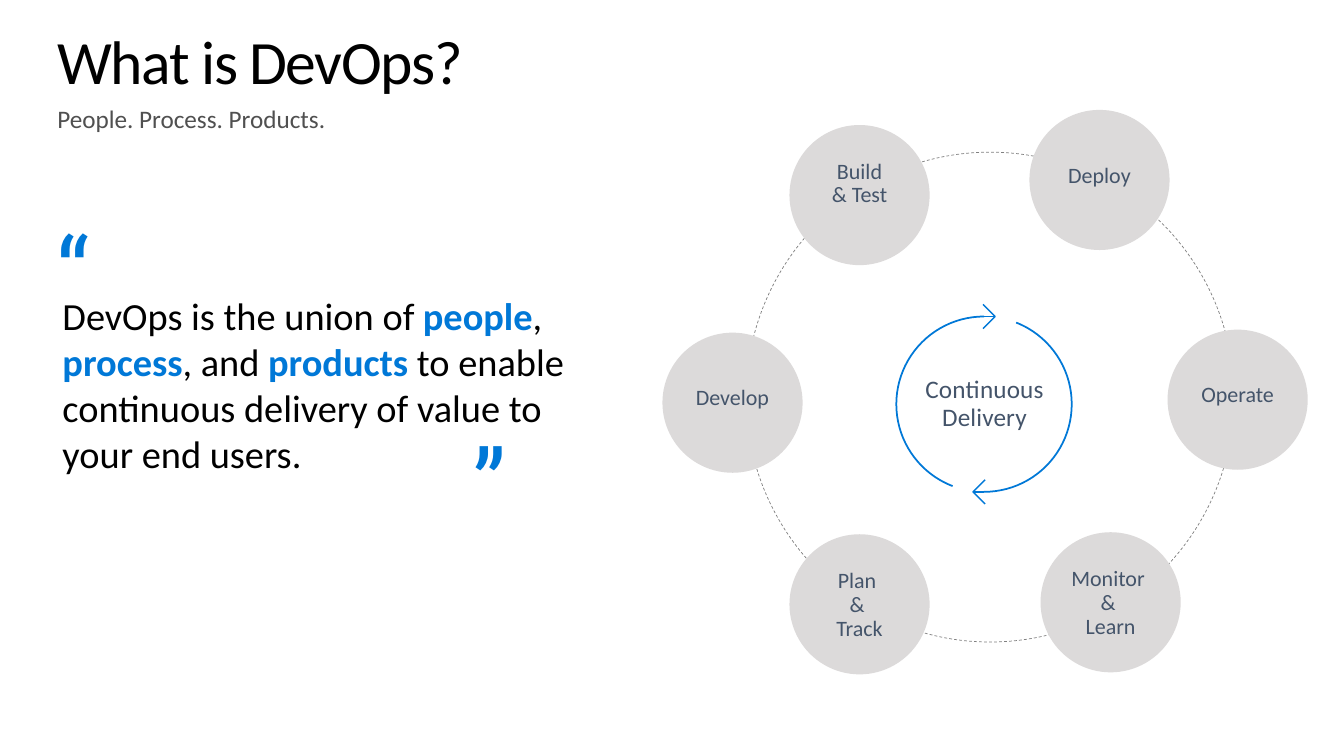
from copy import deepcopy
from pptx import Presentation
from pptx.dml.color import RGBColor
from pptx.enum.dml import MSO_LINE as Dash
from pptx.enum.shapes import MSO_CONNECTOR as Conn, MSO_SHAPE as Shape
from pptx.enum.text import MSO_ANCHOR as Anchor, MSO_AUTO_SIZE as Auto, PP_ALIGN as Align
from pptx.util import Inches, Pt
from lxml.etree import SubElement
from pptx.oxml.ns import qn

BLACK = RGBColor(0x00, 0x00, 0x00)
BLUE = RGBColor(0x00, 0x78, 0xD7)
SLATE = RGBColor(0x44, 0x54, 0x6A)
DARK = RGBColor(0x50, 0x50, 0x50)
GRAY = RGBColor(0x80, 0x80, 0x80)
PALE = RGBColor(0xDC, 0xDA, 0xDA)

DISC = 1.39
STAGES = [
    ("Build\n& Test", 7.83, 1.24),
    ("Deploy", 10.21, 1.09),
    ("Operate", 11.58, 3.27),
    ("Monitor \n& \nLearn", 10.32, 5.28),
    ("Plan \n& \nTrack", 7.83, 5.3),
    ("Develop", 6.57, 3.3),
]


def style(run, size, color, face="Calibri", bold=False, gap=0):
    font = run.font
    font.size, font.name, font.bold = Pt(size), face, bold
    font.color.rgb = color
    if gap:
        run._r.get_or_add_rPr().set("spc", str(round(gap * 100)))


def add_box(slide, x, y, w, h, pads=(0.1, 0.05, 0.1, 0.05), anchor=Anchor.TOP, wrap=True):
    box = slide.shapes.add_textbox(Inches(x), Inches(y), Inches(w), Inches(h))
    frame = box.text_frame
    frame.word_wrap, frame.vertical_anchor = wrap, anchor
    frame.margin_left, frame.margin_top, frame.margin_right, frame.margin_bottom = map(Inches, pads)
    return frame


def write(para, text, size, color, **look):
    para.text = text
    for run in para.runs:
        style(run, size, color, **look)
    # Line breaks take the size of the text around them
    for br in para._p.findall(qn("a:br")):
        br.append(deepcopy(para.runs[0]._r.rPr))


def add_oval(slide, kind, x, y, w, h):
    oval = slide.shapes.add_shape(kind, Inches(x), Inches(y), Inches(w), Inches(h))
    oval.shadow.inherit = False
    oval.fill.background()
    return oval


def ink(line, color, width):
    line.color.rgb, line.width = color, Pt(width)


def add_head(slide, x, y, w):
    title = slide.shapes.title
    title.left, title.top, title.width, title.height = map(Inches, (x, y, w, 0.81))
    frame = title.text_frame
    frame.auto_size, frame.vertical_anchor = Auto.NONE, Anchor.MIDDLE
    para = frame.paragraphs[0]
    para.alignment, para.line_spacing = Align.LEFT, 0.9
    write(para, "What is DevOps?", 44, BLACK, gap=-1)
    frame = add_box(slide, x, y + 0.79, w, 0.3, anchor=Anchor.MIDDLE)
    write(frame.paragraphs[0], "People. Process. Products.", 18, DARK)


def add_quote(slide, x, y, w, h):
    frame = add_box(slide, x, y, w, h, (0.15, 0.83, 0.2, 0.16))
    parts = ["DevOps is the union of ", "people", ", ", "process", ", and ", "products",
             " to enable continuous delivery of value to your end users."]
    for i, part in enumerate(parts):
        run = frame.paragraphs[0].add_run()
        run.text = part
        key = i % 2 == 1
        style(run, 27.4, BLUE if key else BLACK, bold=key)
    # Quote marks
    for mark, dx, dy in (("“", 0, 0), ("”", 4.13, 2.1)):
        frame = add_box(slide, x + dx, y + dy, 0.84, 1.16, wrap=False)
        write(frame.paragraphs[0], mark, 62.7, BLUE, face="Roboto Slab", gap=-0.1)


def add_stage(slide, name, x, y):
    disc = add_oval(slide, Shape.OVAL, x, y, DISC, DISC)
    disc.fill.solid()
    disc.fill.fore_color.rgb = PALE
    disc.line.fill.background()
    one = "\n" not in name
    frame = add_box(slide, x + 0.06, y + (0.42 if one else 0.19), 1.27,
                    0.55 if one else 1.03, (0.2, 0.16, 0.2, 0.16))
    para = frame.paragraphs[0]
    para.alignment, para.line_spacing = Align.CENTER, 0.9
    write(para, name, 15.7, SLATE)


def add_core(slide, x, y, r):
    """Draw the two-arrow loop around the centre (x, y)."""
    frame = add_box(slide, x - 0.9, y - 0.61, 1.81, 1.22, (0, 0, 0, 0), Anchor.MIDDLE)
    para = frame.paragraphs[0]
    para.alignment, para.line_spacing, para.space_before = Align.CENTER, 0.9, Pt(7.7)
    write(para, "Continuous\nDelivery", 18, SLATE, gap=0.1)
    # Side is 1 for the arrow at the top, -1 for the one at the bottom
    for side, start, end in ((1, 111, 270), (-1, 291.5, 90)):
        arc = add_oval(slide, Shape.ARC, x - r, y - r, 2 * r, 2 * r)
        arc.adjustments[0], arc.adjustments[1] = start * 0.6, end * 0.6
        ink(arc.line, BLUE, 1.25)
        top, tip = y - side * r, x + side * 0.11
        stem = slide.shapes.add_connector(Conn.STRAIGHT, Inches(x), Inches(top),
                                          Inches(tip), Inches(top))
        ink(stem.line, BLUE, 1)
        SubElement(stem._element.spPr, qn("a:effectLst"))
        back = tip - side * 0.12
        pen = slide.shapes.build_freeform(Inches(back), Inches(top - 0.12))
        pen.add_line_segments([(Inches(tip), Inches(top)),
                               (Inches(back), Inches(top + 0.12))], close=False)
        head = pen.convert_to_shape()
        head.shadow.inherit = False
        head.fill.background()
        ink(head.line, BLUE, 1)


def add_cycle(slide, x, y, w, h):
    ring = add_oval(slide, Shape.OVAL, x, y, w, h)
    ink(ring.line, GRAY, 0.5)
    ring.line.dash_style = Dash.DASH
    add_core(slide, x + 2.36, y + 2.5, 0.87)
    for stage in STAGES:
        add_stage(slide, *stage)


def main():
    deck = Presentation()
    deck.slide_width, deck.slide_height = Inches(13.33), Inches(7.5)
    slide = deck.slides.add_slide(deck.slide_layouts[5])
    add_head(slide, 0.47, 0.24, 12.4)
    add_quote(slide, 0.47, 2.07, 5.8, 4.25)
    add_cycle(slide, 7.4, 1.51, 4.84, 4.86)
    deck.save("out.pptx")


if __name__ == "__main__":
    main()
